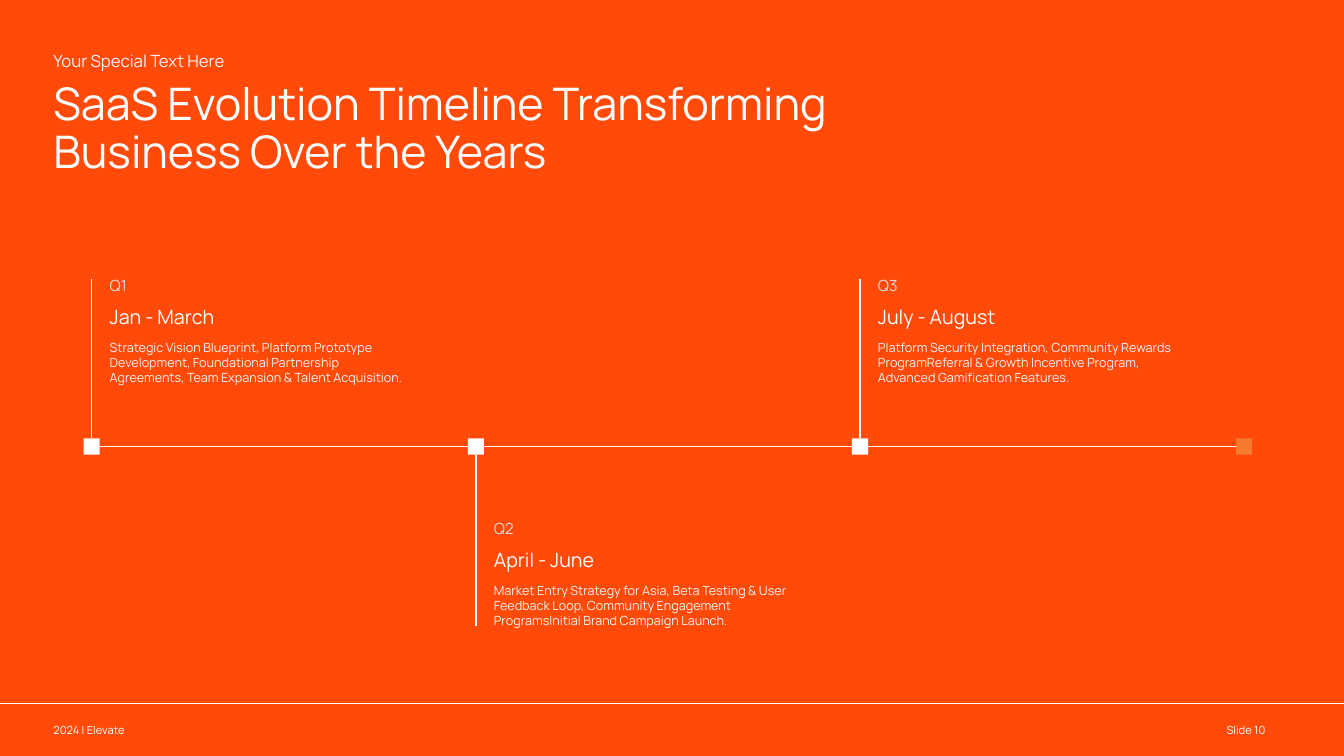
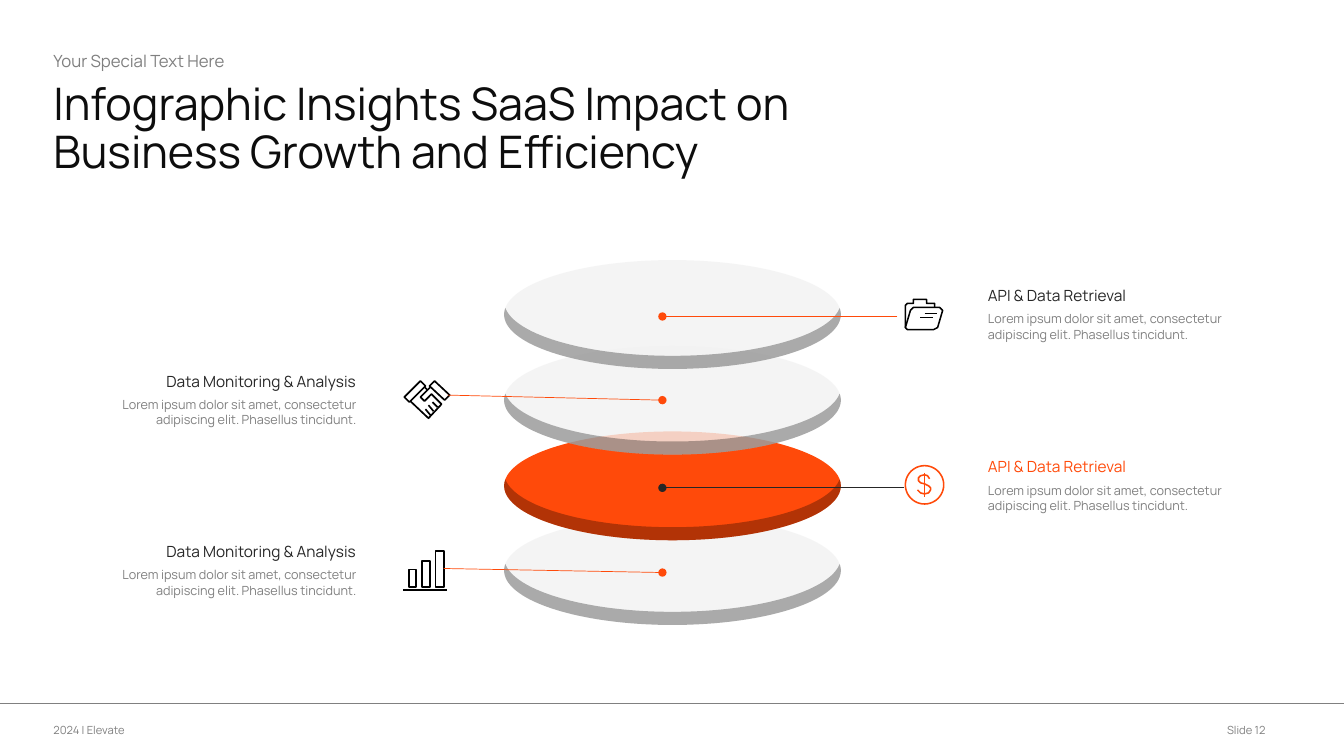
from dataclasses import dataclass
from math import asin, cos, pi, sin

from lxml.etree import SubElement
from pptx import Presentation
from pptx.dml.color import RGBColor
from pptx.enum.shapes import MSO_CONNECTOR as LINK, MSO_SHAPE as SHAPE
from pptx.enum.text import MSO_AUTO_SIZE as FIT, PP_ALIGN as ALIGN
from pptx.oxml.ns import qn
from pptx.util import Emu, Pt

# Shared look
UNIT = 9144  # EMU per px, 100 px to the inch
WIDE, HIGH = 1333, 750
FONT = "Manrope"
WHITE, BLACK = "FFFFFF", "000000"
ORANGE, AMBER = "FF4A0A", "F67A2E"
PALE, SILVER, GREY = "F2F2F2", "D9D9D9", "808080"
DARK, INK = "262626", "0D0D0D"
RIGHT = {"alignment": ALIGN.RIGHT}
FLUSH = (0, 0, 10, 0)

Box = tuple[int, int, int, int]
Dots = list[tuple[float, float]]


@dataclass
class Theme:
    back: str
    kicker: str
    title: str
    foot: str


@dataclass
class Stage:
    quarter: str
    months: str
    notes: str
    above: bool


@dataclass
class Icon:
    color: str
    weight: float
    loops: list[Dots]
    strokes: list[Dots]


@dataclass
class Layer:
    top: int
    head: str
    left: bool
    accent: bool
    lead: Box
    icon: Icon


# Drawing helpers
def px(size: float) -> Emu:
    return Emu(round(size * UNIT))


def rgb(code: str) -> RGBColor:
    return RGBColor.from_string(code)


def paint(shape, code: str, alpha: int = 100) -> None:
    shape.shadow.inherit = False
    shape.line.fill.background()
    shape.fill.solid()
    shape.fill.fore_color.rgb = rgb(code)
    if alpha < 100:
        tint = shape.fill._xPr.find(qn("a:solidFill"))[0]
        SubElement(tint, qn("a:alpha")).set("val", str(alpha * 1000))


def block(slide, kind, box: Box, code: str, alpha: int = 100) -> None:
    paint(slide.shapes.add_shape(kind, *map(px, box)), code, alpha)


def label(slide, box: Box, text: str, size: int, code: str,
          pad: Box = (10, 5, 10, 5), para: dict | None = None) -> None:
    frame = slide.shapes.add_textbox(*map(px, box)).text_frame
    left, top, right, low = map(px, pad)
    look = {"word_wrap": True, "auto_size": FIT.SHAPE_TO_FIT_TEXT,
            "margin_left": left, "margin_top": top,
            "margin_right": right, "margin_bottom": low}
    line = frame.paragraphs[0]
    run = line.add_run()
    run.text = text
    run.font.color.rgb = rgb(code)
    face = {"name": FONT, "size": Pt(size)}
    for item, values in ((frame, look), (line, para or {}), (run.font, face)):
        for key, value in values.items():
            setattr(item, key, value)


def rule(slide, ends: Box, code: str, weight: float, dot: bool = False) -> None:
    link = slide.shapes.add_connector(LINK.STRAIGHT, *map(px, ends))
    link.line.color.rgb = rgb(code)
    link.line.width = Pt(weight)
    if dot:
        SubElement(link.line._get_or_add_ln(), qn("a:tailEnd")).set("type", "oval")
    SubElement(link._element.spPr, qn("a:effectLst"))


def outline(slide, loops: list[Dots], strokes: list[Dots]):
    runs = [(dots, True) for dots in loops] + [(dots, False) for dots in strokes]
    pen = None
    for dots, close in runs:
        first, *rest = [(px(x), px(y)) for x, y in dots]
        if pen is None:
            pen = slide.shapes.build_freeform(*first, scale=1.0)
        else:
            pen.move_to(*first)
        pen.add_line_segments(rest, close=close)
    return pen.convert_to_shape()


def arc(x: float, y: float, wide: float, high: float,
        start: float = 0, stop: float = 2 * pi, steps: int = 80) -> Dots:
    turns = [start + (stop - start) * i / steps for i in range(steps + 1)]
    return [(x + wide * cos(t), y + high * sin(t)) for t in turns]


def sketch(slide, icon: Icon) -> None:
    shape = outline(slide, icon.loops, icon.strokes)
    shape.shadow.inherit = False
    shape.fill.background()
    shape.line.color.rgb = rgb(icon.color)
    shape.line.width = Pt(icon.weight)


def rect(left: int, top: int, right: int, low: int) -> Dots:
    return [(left, top), (right, top), (right, low), (left, low)]


def start(deck, theme: Theme, title: str, page: int):
    slide = deck.slides.add_slide(deck.slide_layouts[6])
    slide.background.fill.solid()
    slide.background.fill.fore_color.rgb = rgb(theme.back)
    rule(slide, (0, 698, WIDE, 698), theme.foot, 0.5)
    label(slide, (53, 713, 199, 24), "2024 | Elevate", 8, theme.foot, (0, 5, 10, 5))
    label(slide, (1163, 713, 102, 24), f"Slide {page}", 8, theme.foot, para=RIGHT)
    label(slide, (53, 81, 793, 97), title, 32, theme.title, FLUSH,
          {"line_spacing": 0.9})
    label(slide, (53, 50, 510, 20), "Your Special Text Here", 12, theme.kicker,
          FLUSH, {"space_after": Pt(8)})
    return slide


# Timeline
STAGES = [
    Stage("Q1", "Jan - March",
          "Strategic Vision Blueprint, Platform Prototype Development, "
          "Foundational Partnership Agreements, Team Expansion & Talent Acquisition.",
          True),
    Stage("Q2", "April - June",
          "Market Entry Strategy for Asia, Beta Testing & User Feedback Loop, "
          "Community Engagement ProgramsInitial Brand Campaign Launch.", False),
    Stage("Q3", "July - August",
          "Platform Security Integration, Community Rewards ProgramReferral & "
          "Growth Incentive Program, Advanced Gamification Features.", True),
]
FIRST, STEP, MARK, AXIS = 83, 381, 16, 443


def timeline(slide) -> None:
    last = FIRST + STEP * len(STAGES)
    top, low = AXIS - MARK // 2, AXIS + MARK // 2
    rule(slide, (FIRST + MARK, AXIS, last, AXIS), WHITE, 1)
    block(slide, SHAPE.RECTANGLE, (last, top, MARK, MARK), AMBER)
    for i, stage in enumerate(STAGES):
        left = FIRST + STEP * i
        stem, side = left + MARK // 2, left + MARK
        y = 269 if stage.above else 510
        ends = (y + 8, top) if stage.above else (low, y + 111)
        block(slide, SHAPE.RECTANGLE, (left, top, MARK, MARK), WHITE)
        rule(slide, (stem, ends[0], stem, ends[1]), WHITE, 1)
        label(slide, (side, y, 314, 29), stage.quarter, 11, SILVER)
        label(slide, (side, y + 29, 314, 34), stage.months, 14, WHITE)
        label(slide, (side, y + 63, 314, 56), stage.notes, 9, PALE)


# Stacked discs
FOLDER = Icon(BLACK, 1.1, [
    [(898, 325), (903, 308), (906, 305), (932, 305), (935, 308), (930, 325),
     (926, 327), (900, 327)],
], [
    [(898, 325), (898, 303), (900, 301), (906, 301), (906, 297), (919, 297),
     (919, 301), (927, 301), (927, 305)],
    [(917, 311), (929, 311)],
    [(913, 315), (925, 315)],
])
HANDS = Icon(BLACK, 1.2, [
    [(401, 394), (417, 378), (422, 383), (406, 399)],
    [(431, 378), (446, 392), (441, 397), (426, 383)],
], [
    [(407, 398), (425, 415), (438, 401), (428, 391), (421, 398), (417, 394),
     (427, 384)],
    [(421, 384), (424, 387)],
    [(434, 404), (429, 399)],
    [(430, 408), (425, 402)],
    [(427, 412), (422, 406)],
])
MONEY = Icon(ORANGE, 1.1, [arc(917, 481, 19, 19)], [
    [(917, 469), (917, 493)],
    [(922, 475), (920, 472), (917, 471), (913, 472), (911, 474), (911, 477),
     (913, 479), (917, 480), (921, 482), (923, 484), (923, 486), (921, 489),
     (917, 490), (913, 489), (910, 486)],
])
BARS = Icon(BLACK, 1.4, [
    rect(406, 565, 413, 582), rect(419, 557, 427, 582), rect(432, 547, 440, 582),
], [[(400, 585), (443, 585)]])

API, DATA = "API & Data Retrieval", "Data Monitoring & Analysis"
LOREM = ("Lorem ipsum dolor sit amet, consectetur adipiscing elit. "
         "Phasellus tincidunt.")
LAYERS = [
    Layer(258, API, False, False, (890, 314, 657, 314), FOLDER),
    Layer(343, DATA, True, False, (444, 392, 657, 397), HANDS),
    Layer(428, API, False, True, (897, 484, 657, 484), MONEY),
    Layer(512, DATA, True, False, (440, 564, 657, 568), BARS),
]


def disc(slide, layer: Layer) -> None:
    left, wide, high, thick = 500, 334, 108, 13
    code, alpha = (ORANGE, 100) if layer.accent else (PALE, 80)
    block(slide, SHAPE.OVAL, (left, layer.top, wide, high), code, alpha)
    # The rim lies between the ellipse and the same ellipse moved up
    x, y, half, tall = left + wide / 2, layer.top + high / 2, wide / 2, high / 2
    tip = asin(thick / 2 / tall)
    rim = (arc(x, y, half, tall, -tip, pi + tip)
           + arc(x, y - thick, half, tall, pi - tip, tip))
    paint(outline(slide, [rim], []), BLACK, 30)


def stack(slide) -> None:
    for layer in reversed(LAYERS):
        disc(slide, layer)
    for layer in LAYERS:
        left, para = (61, RIGHT) if layer.left else (970, None)
        head = ORANGE if layer.accent else DARK
        y = layer.top + 21
        sketch(slide, layer.icon)
        label(slide, (left, y + 25, 302, 40), LOREM, 9, GREY, para=para)
        label(slide, (left, y, 302, 29), layer.head, 11, head, para=para)
        rule(slide, layer.lead, DARK if layer.accent else ORANGE, 0.5, dot=True)


def main() -> None:
    deck = Presentation()
    deck.slide_width, deck.slide_height = px(WIDE), px(HIGH)
    warm = Theme(ORANGE, PALE, WHITE, WHITE)
    plain = Theme(WHITE, GREY, INK, GREY)
    timeline(start(deck, warm, "SaaS Evolution Timeline Transforming "
                   "Business Over the Years", 10))
    stack(start(deck, plain, "Infographic Insights SaaS Impact on "
                "Business Growth and Efficiency", 12))
    deck.save("out.pptx")


if __name__ == "__main__":
    main()
